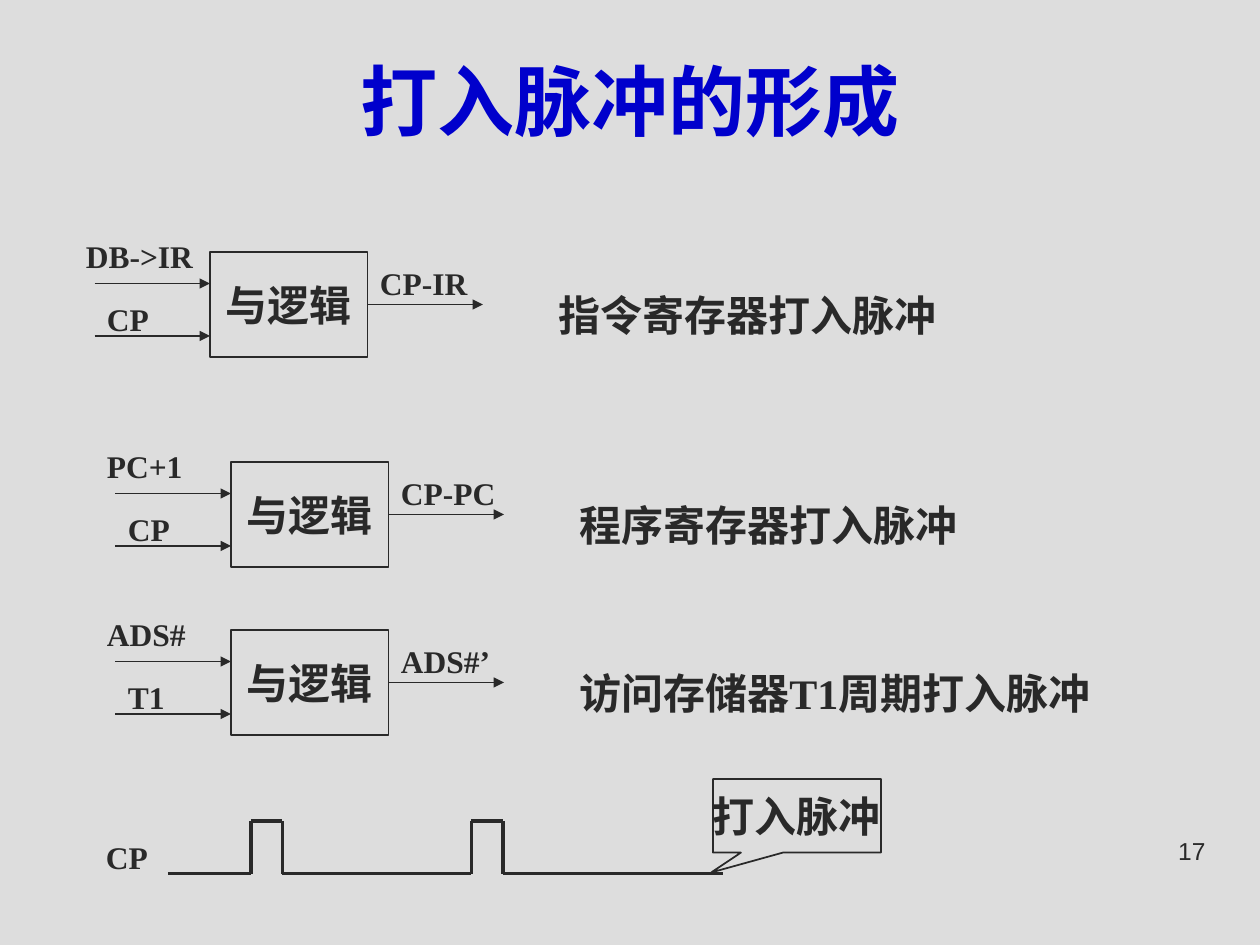
from dataclasses import dataclass
from itertools import pairwise

from lxml import etree
from pptx import Presentation, util as u
from pptx.dml.color import RGBColor
from pptx.enum import shapes, text
from pptx.oxml.ns import qn

INK = RGBColor(0x29, 0x29, 0x29)
PAPER = RGBColor(0xDD, 0xDD, 0xDD)
BLUE = RGBColor(0x00, 0x00, 0xCC)
SERIF, SANS = "Times New Roman", "Arial"
COLS, ROWS = 120, 90  # square grid cells on the slide
CELL = u.Inches(10) / COLS
LEFT, CENTER, RIGHT = text.PP_ALIGN.LEFT, text.PP_ALIGN.CENTER, text.PP_ALIGN.RIGHT


@dataclass(frozen=True)
class Gate:
    col: float
    row: float
    signal: str
    clock: str
    output: str
    meaning: str
    signal_offset: float = -13


GATES = [
    Gate(20, 24, "DB->IR", "CP", "CP-IR", "指令寄存器打入脉冲"),
    Gate(22, 44, "PC+1", "CP", "CP-PC", "程序寄存器打入脉冲"),
    Gate(22, 60, "ADS#", "T1", "ADS#’", "访问存储器T1周期打入脉冲"),
]
PULSE_STARTS = (23.9, 44.9)
PULSE_WIDTH, WAVE_LOW, WAVE_HIGH = 3, 83.2, 78.2
WAVE_START, WAVE_END = 16, 68.9


def g(cells: float) -> int:
    """Length of a number of grid cells."""
    return round(cells * CELL)


def write(sp, words: str, size: float, font=SERIF, color=INK, bold=True,
          align=LEFT, anchor=text.MSO_ANCHOR.TOP, wrap=True) -> None:
    tf = sp.text_frame
    tf.word_wrap = wrap
    tf.vertical_anchor = anchor
    p = tf.paragraphs[0]
    p.text = words
    p.alignment = align
    p.font.name, p.font.size, p.font.bold = font, u.Pt(size), bold
    p.font.color.rgb = color


def label(s, words: str, col: float, row: float, width: float,
          height: float = 4.8, size: float = 18, **style) -> None:
    sp = s.shapes.add_textbox(g(col), g(row), g(width), g(height))
    write(sp, words, size, **style)


def box(s, kind, words: str, col: float, row: float, width: float, height: float):
    sp = s.shapes.add_shape(kind, g(col), g(row), g(width), g(height))
    sp.shadow.inherit = False
    sp.fill.solid()
    sp.fill.fore_color.rgb = PAPER
    sp.line.color.rgb = INK
    sp.line.width = u.Pt(1)
    write(sp, words, 24, align=CENTER, anchor=text.MSO_ANCHOR.MIDDLE, wrap=False)
    return sp


def line(s, start: tuple, end: tuple, width: float = 1, arrow: bool = False) -> None:
    cx = s.shapes.add_connector(shapes.MSO_CONNECTOR.STRAIGHT,
                                *map(g, start), *map(g, end))
    cx.line.color.rgb = INK
    cx.line.width = u.Pt(width)
    if arrow:
        etree.SubElement(cx.line._get_or_add_ln(), qn("a:tailEnd"), type="triangle")
    etree.SubElement(cx._element.spPr, qn("a:effectLst"))


def draw_gate(s, gate: Gate) -> None:
    x, y = gate.col, gate.row
    right = x + 15
    box(s, shapes.MSO_SHAPE.RECTANGLE, "与逻辑", x, y, 15, 10)
    for start, end, row in ((x - 11, x, 3), (x - 11, x, 8), (right, right + 11, 5)):
        line(s, (start, y + row), (end, y + row), arrow=True)
    label(s, gate.signal, x + gate.signal_offset, y - 2, 18)
    label(s, gate.clock, x - 11, y + 4, 9)
    label(s, gate.output, right, y + 0.6, 14)
    label(s, gate.meaning, x + 32, y + 3, 57, 6, 24)


def draw_wave(s) -> None:
    points = [(WAVE_START, WAVE_LOW)]
    for start in PULSE_STARTS:
        end = start + PULSE_WIDTH
        points += [(start, WAVE_LOW), (start, WAVE_HIGH),
                   (end, WAVE_HIGH), (end, WAVE_LOW)]
    points.append((WAVE_END, WAVE_LOW))
    for start, end in pairwise(points):
        line(s, start, end, width=2)


def main() -> None:
    prs = Presentation()
    prs.slide_width, prs.slide_height = g(COLS), g(ROWS)
    s = prs.slides.add_slide(prs.slide_layouts[6])
    s.background.fill.solid()
    s.background.fill.fore_color.rgb = PAPER

    label(s, "17", 86, 79, 30, 6.2, 14, font=SANS, bold=False, align=RIGHT)
    label(s, "打入脉冲的形成", 4, 2, 112, 15, 44, font=SANS, color=BLUE,
          align=CENTER, anchor=text.MSO_ANCHOR.MIDDLE)
    for gate in GATES:
        draw_gate(s, gate)
    draw_wave(s)
    label(s, "CP", 8.9, 79.2, 10)
    callout = box(s, shapes.MSO_SHAPE.RECTANGULAR_CALLOUT, "打入脉冲",
                  67.9, 74.2, 16, 7)
    callout.adjustments[0] = -0.51
    callout.adjustments[1] = 0.77
    prs.save("out.pptx")


if __name__ == "__main__":
    main()
